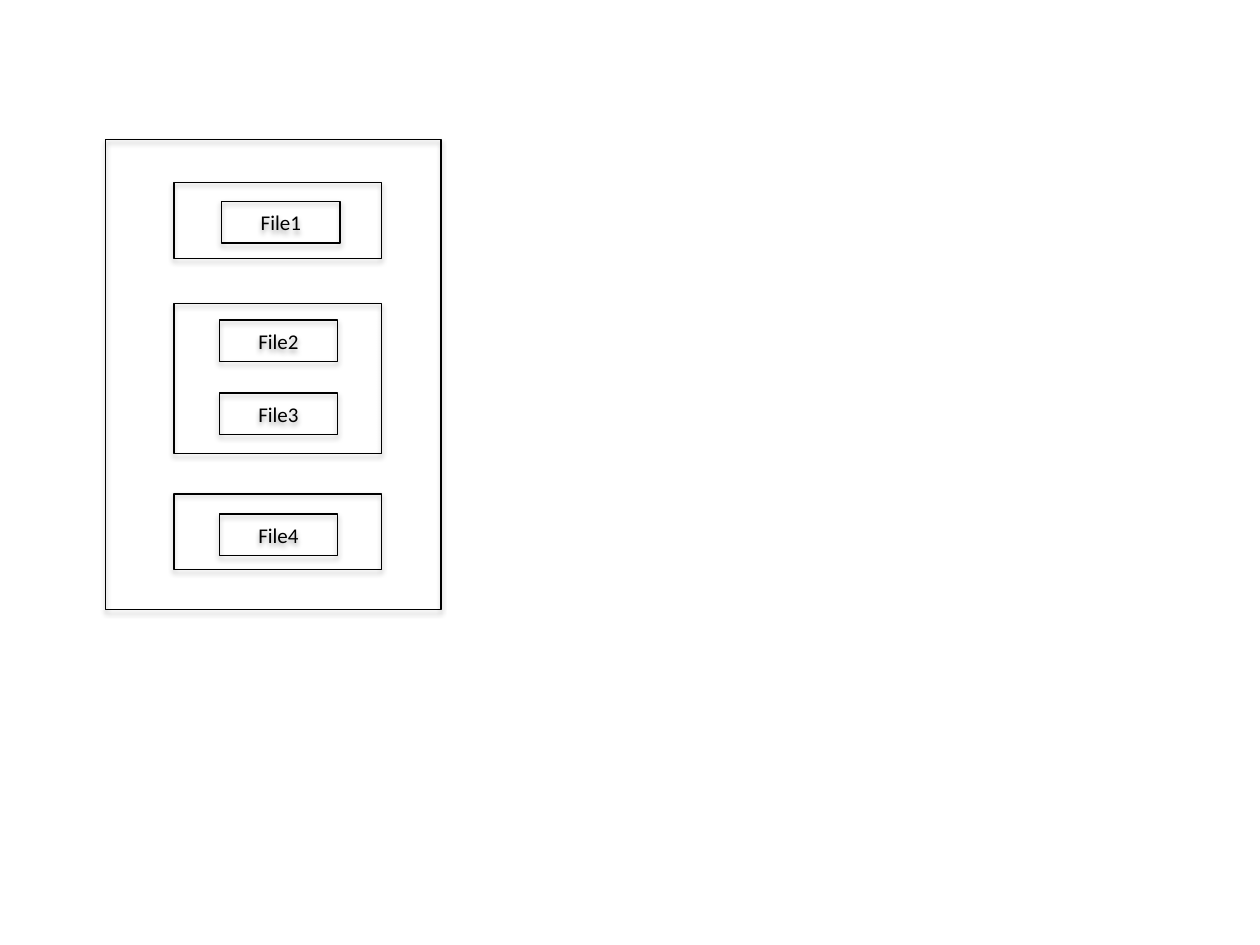
from lxml.etree import SubElement
from pptx import Presentation
from pptx.dml.color import RGBColor
from pptx.enum.shapes import MSO_SHAPE
from pptx.enum.text import MSO_ANCHOR, PP_ALIGN
from pptx.oxml.ns import qn
from pptx.util import Inches, Pt

BLANK_LAYOUT = 6


def color(hex_string):
    """Turn a hex string into a colour."""
    return RGBColor.from_string(hex_string)


def write(shape, text, size=12, font="Calibri", ink="000000"):
    """Write centred text into a shape."""
    frame = shape.text_frame
    frame.word_wrap = True
    frame.vertical_anchor = MSO_ANCHOR.MIDDLE
    paragraph = frame.paragraphs[0]
    paragraph.alignment = PP_ALIGN.CENTER
    run = paragraph.add_run()
    run.text = text
    run.font.size = Pt(size)
    run.font.name = font
    run.font.color.rgb = color(ink)


class Diagram:
    """Style and current slide; lengths are cells of a 100 by 75 grid."""

    ink = "000000"
    line_width = 0.75
    cell = Inches(0.1)

    def __init__(self, slide):
        """Keep the slide to draw on."""
        self.slide = slide

    def cast_shadow(self, shape):
        """Give a shape a soft shadow straight below it."""
        shape.shadow.inherit = False
        effects = shape._element.spPr.find(qn("a:effectLst"))
        shadow = SubElement(effects, qn("a:outerShdw"), blurRad=str(Pt(3.1)),
                            dist=str(Pt(1.8)), dir="5400000", rotWithShape="0")
        tint = SubElement(shadow, qn("a:srgbClr"), val=self.ink)
        SubElement(tint, qn("a:alpha"), val="35000")

    def box(self, column, row, columns, rows, text=None):
        """Draw an outlined box, with a label if given."""
        lengths = [round(n * self.cell) for n in (column, row, columns, rows)]
        shape = self.slide.shapes.add_shape(MSO_SHAPE.RECTANGLE, *lengths)
        shape.fill.background()
        shape.line.color.rgb = color(self.ink)
        shape.line.width = Pt(self.line_width)
        self.cast_shadow(shape)
        if text:
            write(shape, text, ink=self.ink)

    def group(self, row, rows, files):
        """Draw a group box and the files inside it."""
        self.box(13.8, row, 16.5, rows)
        for name, file_column, file_row in files:
            self.box(file_column, file_row, 9.4, 3.3, name)


def build():
    """Build the slide and save it."""
    deck = Presentation()
    deck.slide_width, deck.slide_height = Inches(10), Inches(7.5)
    diagram = Diagram(deck.slides.add_slide(deck.slide_layouts[BLANK_LAYOUT]))
    diagram.box(8.4, 11.1, 26.6, 37.3)
    groups = [
        (14.5, 6, [("File1", 17.6, 16)]),
        (24.1, 11.9, [("File2", 17.4, 25.4), ("File3", 17.4, 31.2)]),
        (39.2, 6, [("File4", 17.4, 40.8)]),
    ]
    for row, rows, files in groups:
        diagram.group(row, rows, files)
    deck.save("out.pptx")


build()
